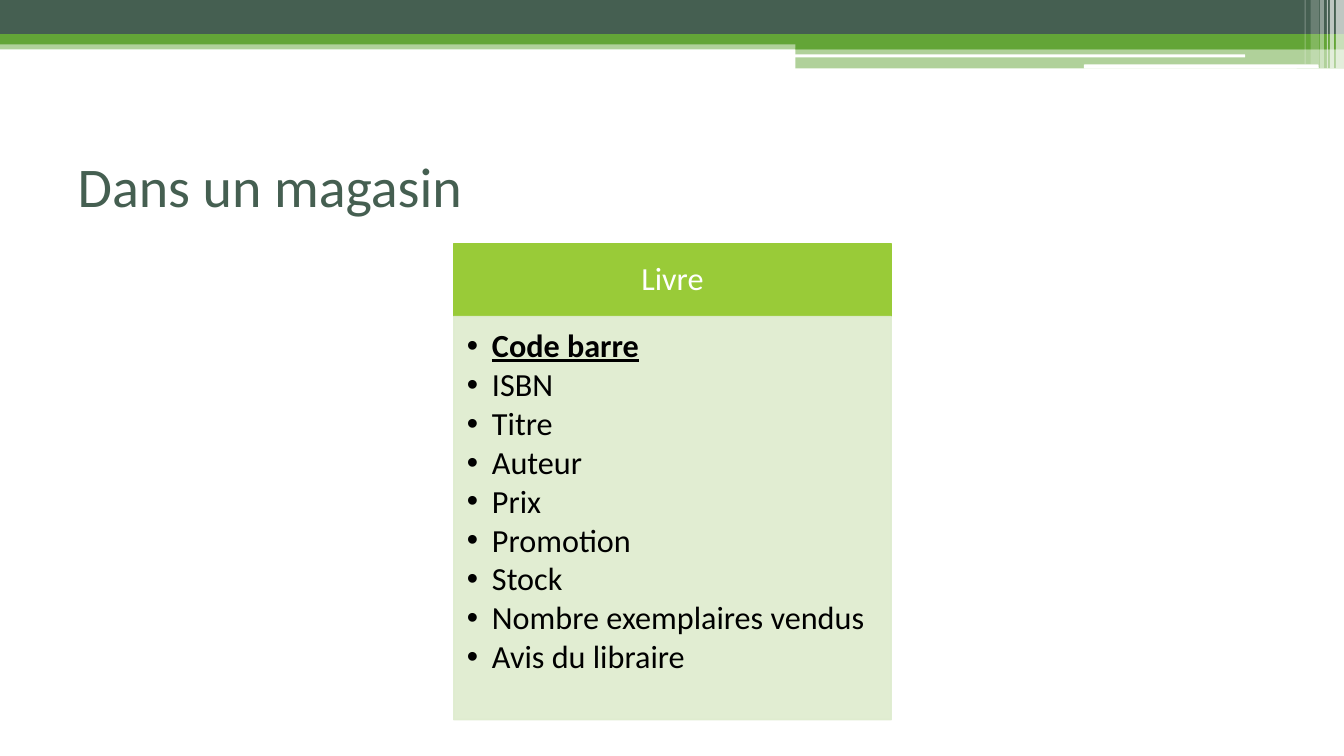
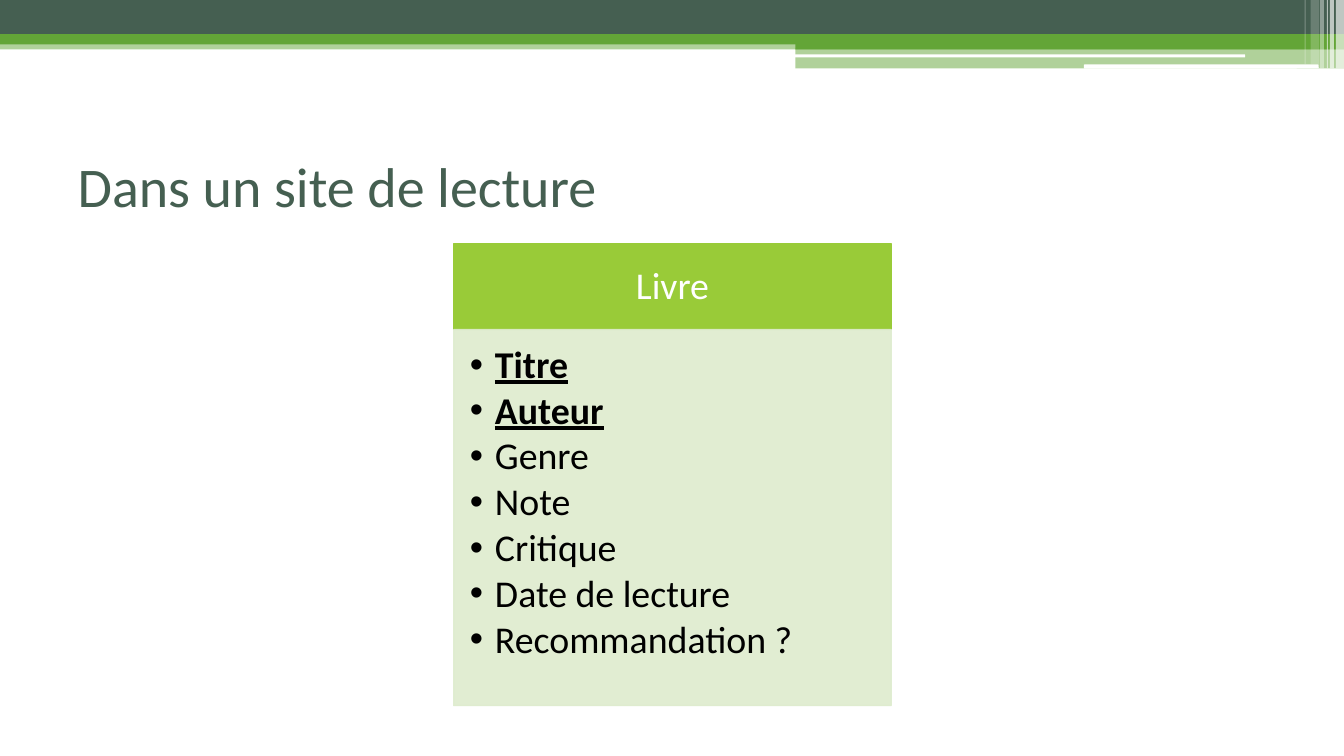
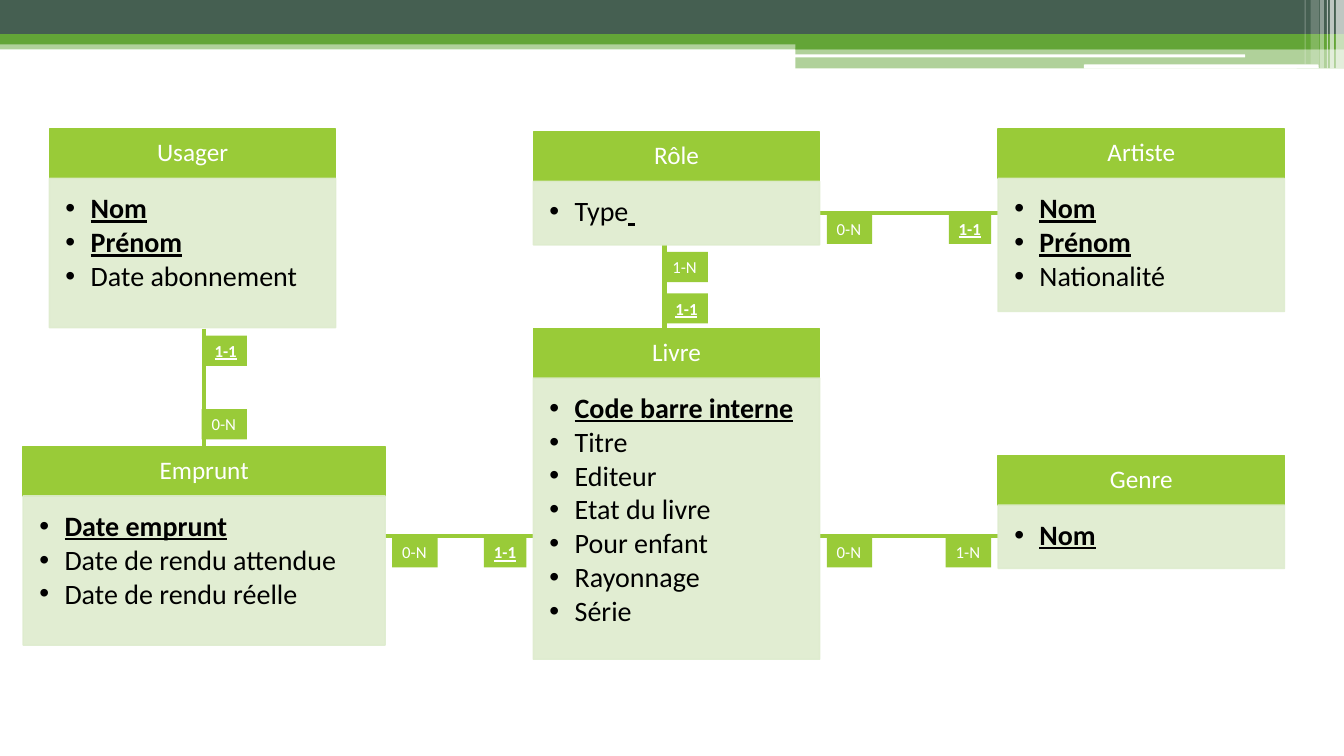
import pptx
import pptx.util
import pptx.dml.color
import pptx.enum.shapes
import pptx.enum.text
import pptx.oxml.ns
import lxml.etree

PX = 9144  # one hundredth of an inch
WIDTH, HEIGHT = 1333, 750
FONT = "Calibri"
DARK, GREEN, LIME, PALE = "455F51", "63A537", "99CB38", "DEECCE"
WHITE, BLACK = "FFFFFF", "000000"
SHAPE = pptx.enum.shapes.MSO_SHAPE
ANCHOR = pptx.enum.text.MSO_ANCHOR
ALIGN = pptx.enum.text.PP_ALIGN
qn = pptx.oxml.ns.qn


def px(*lengths):
    return [pptx.util.Emu(length * PX) for length in lengths]


def rgb(value):
    return pptx.dml.color.RGBColor.from_string(value)


def add_box(page, box, color, alpha=100, outlined=False, kind=SHAPE.RECTANGLE):
    shape = page.shapes.add_shape(kind, *px(*box))
    shape.shadow.inherit = False
    shape.fill.solid()
    shape.fill.fore_color.rgb = rgb(color)
    if outlined:
        shape.line.color.rgb = rgb(color)
        shape.line.width = pptx.util.Pt(1)
    else:
        shape.line.fill.background()
    if alpha < 100:
        for paint in list(shape.element.spPr.iter(qn("a:srgbClr"))):
            lxml.etree.SubElement(paint, qn("a:alpha"), val=str(alpha * 1000))
    return shape


def set_insets(frame, left, top, right, bottom):
    frame.margin_left, frame.margin_top, frame.margin_right, frame.margin_bottom = px(
        left, top, right, bottom)


def style_span(span, size, color, key=False):
    span.font.name = FONT
    span.font.size = pptx.util.Pt(size)
    span.font.color.rgb = rgb(color)
    span.font.bold = span.font.underline = key


def style_para(para, size, color, align=ALIGN.LEFT, key=False):
    para.alignment = align
    for span in para.runs:
        style_span(span, size, color, key)


def add_bands(deck, page):
    """Draw the top bands and move them to the slide master."""
    round_bar = SHAPE.ROUNDED_RECTANGLE
    bands = [
        ((0, 40, WIDTH, 9), GREEN, 50),
        ((0, 0, WIDTH, 34), DARK),
        ((0, 34, WIDTH, 10), GREEN),
        ((789, 39, 544, 10), GREEN),
        ((789, 48, 544, 20), GREEN, 50),
        ((788, 54, 447, 3), WHITE, 100, False, round_bar),
        ((1075, 64, 233, 4), WHITE, 100, False, round_bar),
    ]
    # Translucent stripes at the right edge: left, width, height, alpha
    stripes = [(1325, 8, 68, 65), (1319, 4, 68, 65), (1316, 1, 68, 60),
               (1309, 4, 68, 40), (1300, 8, 64, 20), (1294, 1, 64, 30)]
    bands += [((left, 0, width, height), WHITE, alpha)
              for left, width, height, alpha in stripes]
    for number, band in enumerate(bands, 101):
        element = add_box(page, *band).element
        element.nvSpPr.cNvPr.set("id", str(number))
        deck.slide_master.shapes.element.append(element)


def add_title(page, text):
    title = page.shapes.title
    title.left, title.top, title.width, title.height = px(67, 125, 1200, 117)
    frame = title.text_frame
    frame.text = text
    frame.vertical_anchor = ANCHOR.MIDDLE
    frame.auto_size = pptx.enum.text.MSO_AUTO_SIZE.NONE
    style_para(frame.paragraphs[0], 40, DARK)


def add_bullet(para):
    properties = para._p.get_or_add_pPr()
    properties.set("marL", str(25 * PX))
    properties.set("indent", str(-25 * PX))
    lxml.etree.SubElement(properties, qn("a:buFont"), typeface="Arial")
    lxml.etree.SubElement(properties, qn("a:buChar"), char="•")


def add_entity(page, box, name, keys, fields, head=49, head_size=18, size=20, inset=16):
    """Place a named header over a list of attributes, keys first."""
    left, top, width, height = box
    header = add_box(page, (left, top, width, head), LIME, outlined=True).text_frame
    header.text = name
    header.vertical_anchor = ANCHOR.MIDDLE
    set_insets(header, 16, 9, 16, 9)
    style_para(header.paragraphs[0], head_size, WHITE, ALIGN.CENTER)
    header.paragraphs[0].line_spacing = 0.9

    body = add_box(page, (left, top + head, width, height - head), PALE, 90, True).text_frame
    body.word_wrap = True
    body.vertical_anchor = ANCHOR.TOP
    set_insets(body, inset, inset, inset + 5, inset + 8)
    body.text = "\n".join(keys + fields)
    for index, para in enumerate(body.paragraphs):
        style_para(para, size, BLACK, key=index < len(keys))
        para.line_spacing = 0.9
        para.space_after = pptx.util.Pt(0.13 * size)
        add_bullet(para)
    return body


def add_tag(page, right, top, text):
    key = text == "1-1"
    width = tag_width(text)
    frame = add_box(page, (right - width, top, width, 30), LIME).text_frame
    frame.text = text
    frame.word_wrap = False
    frame.vertical_anchor = ANCHOR.TOP
    style_para(frame.paragraphs[0], 12, WHITE, key=key)


def tag_width(text):
    return 42 if text == "1-1" else 45


def add_link(page, start, end, first, last):
    """Join two entities and put a cardinality tag near each end."""
    line = page.shapes.add_connector(
        pptx.enum.shapes.MSO_CONNECTOR.STRAIGHT, *px(*start, *end))
    line.line.color.rgb = rgb(LIME)
    line.line.width = pptx.util.Pt(3)
    lxml.etree.SubElement(line.element.spPr, qn("a:effectLst"))
    gap = 7
    (x1, y1), (x2, y2) = start, end
    if y1 == y2:
        add_tag(page, x1 + gap + tag_width(first), y1 + 1, first)
        add_tag(page, x2 - gap, y2 + 1, last)
    else:
        add_tag(page, x1 + 43, y1 + gap, first)
        add_tag(page, x2 + 43, y2 - gap - 30, last)


def add_entity_page(deck, title, box, keys, fields, **sizes):
    page = deck.slides.add_slide(deck.slide_layouts[5])
    add_title(page, title)
    add_entity(page, box, "Livre", keys, fields, **sizes)
    return page


def add_diagram_page(deck):
    page = deck.slides.add_slide(deck.slide_layouts[6])
    # Links
    for link in [
        ((202, 326), (202, 443), "1-1", "0-N"),
        ((659, 243), (659, 328), "1-N", "1-1"),
        ((813, 211), (990, 211), "0-N", "1-1"),
        ((382, 532), (529, 532), "0-N", "1-1"),
        ((813, 532), (990, 532), "0-N", "1-N"),
    ]:
        add_link(page, *link)
    # Entities
    width, left, middle, right = 284, 49, 529, 990
    add_entity(page, (left, 128, width, 197), "Usager",
               ["Nom", "Prénom"], ["Date abonnement"])
    add_entity(page, (23, 443, 359, 197), "Emprunt",
               ["Date emprunt"], ["Date de rendu attendue", "Date de rendu réelle"])
    add_entity(page, (middle, 326, width, 328), "Livre", ["Code barre interne"],
               ["Titre", "Editeur", "Etat du livre", "Pour enfant", "Rayonnage", "Série"])
    add_entity(page, (right, 128, width, 181), "Artiste",
               ["Nom", "Prénom"], ["Nationalité"])
    add_entity(page, (right, 452, width, 112), "Genre", ["Nom"], [])
    role = add_entity(page, (middle, 131, width, 112), "Rôle", [], ["Type"])
    # Underlined space after the role type
    space = role.paragraphs[0].add_run()
    space.text = " "
    style_span(space, 20, BLACK, key=True)


def main():
    deck = pptx.Presentation()
    deck.slide_width, deck.slide_height = px(WIDTH, HEIGHT)
    shop = add_entity_page(
        deck, "Dans un magasin", (450, 242, 434, 472), ["Code barre"],
        ["ISBN", "Titre", "Auteur", "Prix", "Promotion", "Stock",
         "Nombre exemplaires vendus", "Avis du libraire"],
        head=72, head_size=23, size=23, inset=13)
    add_bands(deck, shop)
    add_entity_page(
        deck, "Dans un site de lecture", (450, 242, 434, 458), ["Titre", "Auteur"],
        ["Genre", "Note", "Critique", "Date de lecture", "Recommandation ?"],
        head=85, head_size=27, size=27)
    add_diagram_page(deck)
    deck.save("out.pptx")


if __name__ == "__main__":
    main()
